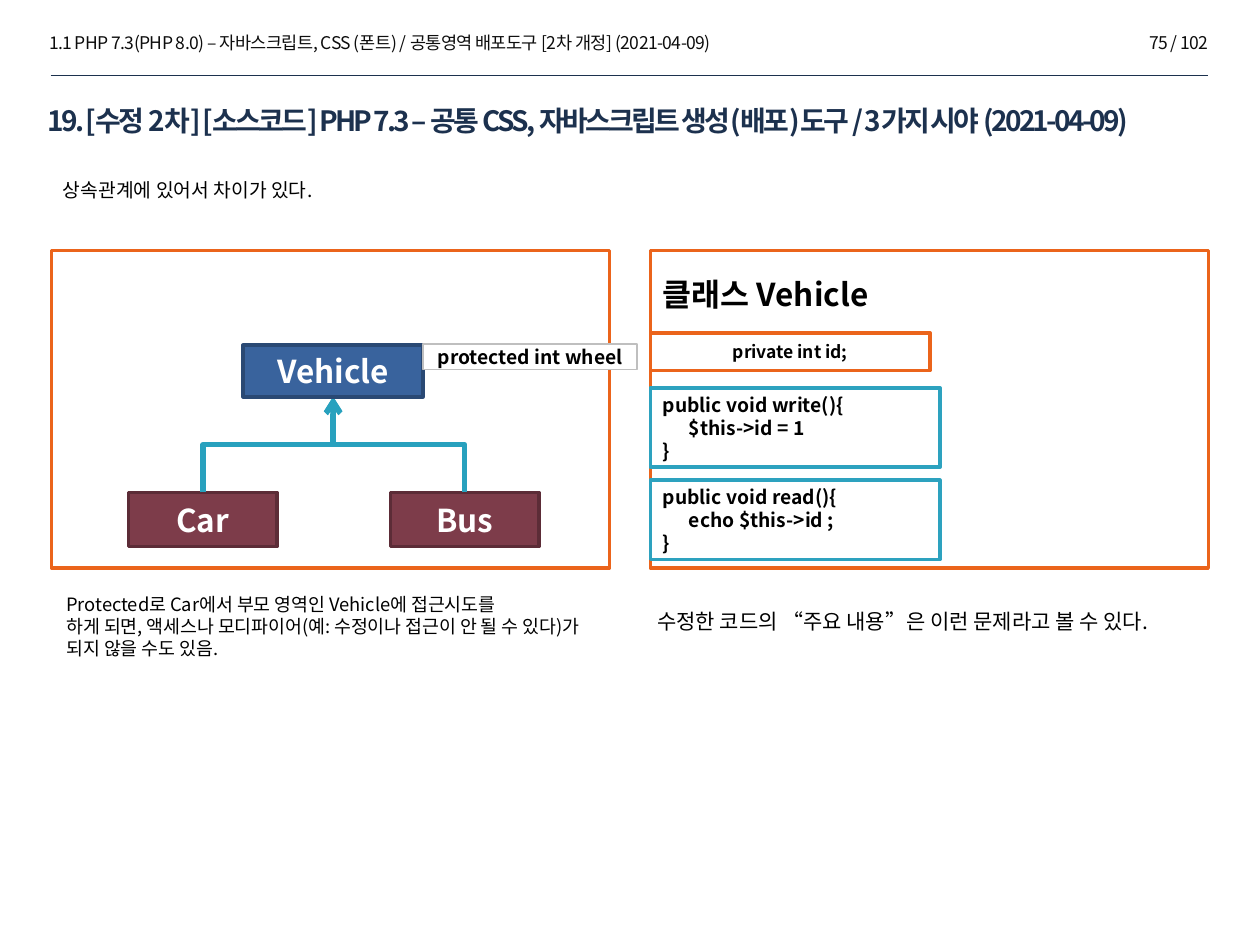
from dataclasses import dataclass

from lxml.etree import SubElement
from pptx import Presentation
from pptx.dml.color import RGBColor
from pptx.enum.shapes import MSO_CONNECTOR, MSO_SHAPE
from pptx.enum.text import MSO_ANCHOR, PP_ALIGN
from pptx.oxml.ns import qn
from pptx.util import Cm, Pt


@dataclass(frozen=True)
class Theme:
    font: str = "Noto Sans CJK KR"
    black: str = "000000"
    white: str = "FFFFFF"
    header: str = "0D0D0D"
    navy: str = "1C314E"
    orange: str = "EB641B"
    teal: str = "2DA2BF"
    arrow: str = "28A1BE"
    grey: str = "BFBFBF"
    parent: str = "39639D"
    parent_edge: str = "2A4974"
    child: str = "7D3C4A"
    child_edge: str = "5C2C37"
    small: float = 10
    caption: float = 10.5
    body: float = 11
    note: float = 12
    title: float = 16
    label: float = 18


THEME = Theme()
LEFT, CENTER, RIGHT = PP_ALIGN.LEFT, PP_ALIGN.CENTER, PP_ALIGN.RIGHT
TOP, MIDDLE = MSO_ANCHOR.TOP, MSO_ANCHOR.MIDDLE


def colour(value):
    return RGBColor.from_string(value)


def write(box, lines, size, ink=THEME.black, bold=False, align=LEFT,
          anchor=MIDDLE, spacing=0):
    """Fill a box with one paragraph per line; spacing is in points."""
    frame = box.text_frame
    frame.word_wrap = True
    frame.vertical_anchor = anchor
    for index, line in enumerate(lines):
        para = frame.paragraphs[0] if index == 0 else frame.add_paragraph()
        para.text = line
        para.alignment = align
        font = para.font
        font.size, font.bold, font.name = Pt(size), bold, THEME.font
        font.color.rgb = colour(ink)
        properties = para._p.pPr.find(qn("a:defRPr"))
        SubElement(properties, qn("a:ea"), typeface=THEME.font)
        if spacing:
            properties.set("spc", str(round(spacing * 100)))


def add_text(page, area, lines, size, **style):
    box = page.shapes.add_textbox(*map(Cm, area))
    write(box, lines, size, **style)


def add_box(page, area, edge, fill=THEME.white, width=2):
    box = page.shapes.add_shape(MSO_SHAPE.RECTANGLE, *map(Cm, area))
    box.shadow.inherit = False
    box.fill.solid()
    box.fill.fore_color.rgb = colour(fill)
    box.line.color.rgb = colour(edge)
    box.line.width = Pt(width)
    return box


def add_line(page, kind, ends, ink, width):
    line = page.shapes.add_connector(kind, *map(Cm, ends))
    line.line.color.rgb = colour(ink)
    line.line.width = Pt(width)
    SubElement(line._element.spPr, qn("a:effectLst"))
    return line


def add_inheritance_arrow(page, child_x, child_y, parent_x, parent_y):
    """Elbow rising from a child to its parent: a bent connector turned upright."""
    middle_x, middle_y = (child_x + parent_x) / 2, (child_y + parent_y) / 2
    side = 1 if child_x < parent_x else -1
    half_rise = side * (child_y - parent_y) / 2
    half_run = abs(parent_x - child_x) / 2
    ends = (middle_x + half_rise, middle_y + half_run,
            middle_x - half_rise, middle_y - half_run)
    arrow = add_line(page, MSO_CONNECTOR.ELBOW, ends, THEME.arrow, 3)
    arrow._element.spPr.xfrm.set("rot", str((90 if side > 0 else 270) * 60000))
    SubElement(arrow.line._get_or_add_ln(), qn("a:tailEnd"), type="arrow")


def add_header(page):
    header = dict(ink=THEME.header, anchor=TOP, spacing=-0.3)
    add_text(page, (0.74, 0.53, 22.05, 0.69),
             ["1.1 PHP 7.3(PHP 8.0) – 자바스크립트, CSS (폰트) / 공통영역 배포도구 "
              "[2차 개정] (2021-04-09)"], THEME.small, **header)
    add_text(page, (20.22, 0.53, 4.39, 0.69), ["75 / 102"], THEME.small,
             align=RIGHT, **header)
    add_line(page, MSO_CONNECTOR.STRAIGHT, (1.02, 1.52, 24.36, 1.52),
             THEME.navy, 0.25)
    add_text(page, (0.71, 1.96, 23.65, 1.63),
             ["19. [수정 2차] [소스코드] PHP 7.3 – 공통 CSS, 자바스크립트 "
              "생성(배포)도구 / 3가지 시야 (2021-04-09)"],
             THEME.title, ink=THEME.navy, bold=True, anchor=TOP, spacing=-1.5)
    add_text(page, (1.02, 3, 23.52, 1.65), ["상속관계에 있어서 차이가 있다."],
             THEME.body)


def add_class_panel(page):
    left = 13.11
    panel = add_box(page, (left, 5.05, 11.25, 6.4), THEME.orange)
    panel.text_frame.margin_top = Cm(0.5)
    write(panel, ["클래스 Vehicle"], THEME.label, bold=True, anchor=TOP)

    field = add_box(page, (left, 6.71, 5.64, 0.76), THEME.orange)
    write(field, ["private int id;"], THEME.small, bold=True, align=CENTER)

    methods = (
        (7.82, "public void write(){\n      $this->id = 1\n}"),
        (9.68, "public void read(){\n      echo $this->id ;\n}"),
    )
    for top, code in methods:
        method = add_box(page, (left, top, 5.84, 1.6), THEME.teal)
        write(method, [code], THEME.body, bold=True)

    add_text(page, (13, 11.84, 11.46, 1.37),
             ["수정한 코드의 “주요 내용”은 이런 문제라고 볼 수 있다."], THEME.note)


def add_inheritance_panel(page):
    add_box(page, (1.04, 5.05, 11.25, 6.4), THEME.orange)
    label = dict(ink=THEME.white, bold=True, align=CENTER)

    parent_left, parent_top, parent_width, parent_height = 4.9, 6.96, 3.63, 1.04
    child_top, child_width = 9.93, 3
    for name, left in (("Car", 2.59), ("Bus", 7.87)):
        child = add_box(page, (left, child_top, child_width, 1.09),
                        THEME.child_edge, THEME.child)
        write(child, [name], THEME.label, **label)
        add_inheritance_arrow(page, left + child_width / 2, child_top,
                              parent_left + parent_width / 2,
                              parent_top + parent_height)

    parent = add_box(page, (parent_left, parent_top, parent_width, parent_height),
                     THEME.parent_edge, THEME.parent)
    write(parent, ["Vehicle"], THEME.label, **label)
    member = add_box(page, (parent_left + parent_width, 6.94, 4.32, 0.51),
                     THEME.grey, width=1)
    write(member, ["protected int wheel"], THEME.body, bold=True, align=CENTER)

    add_text(page, (1.09, 11.84, 11.46, 1.57),
             ["Protected로 Car에서 부모 영역인 Vehicle에 접근시도를",
              "하게 되면, 액세스나 모디파이어(예: 수정이나 접근이 안 될 수 있다)가",
              "되지 않을 수도 있음."], THEME.caption)


def main():
    deck = Presentation()
    deck.slide_width, deck.slide_height = Cm(25.4), Cm(19.05)
    page = deck.slides.add_slide(deck.slide_layouts[6])
    add_header(page)
    add_class_panel(page)
    add_inheritance_panel(page)
    deck.save("out.pptx")


if __name__ == "__main__":
    main()
